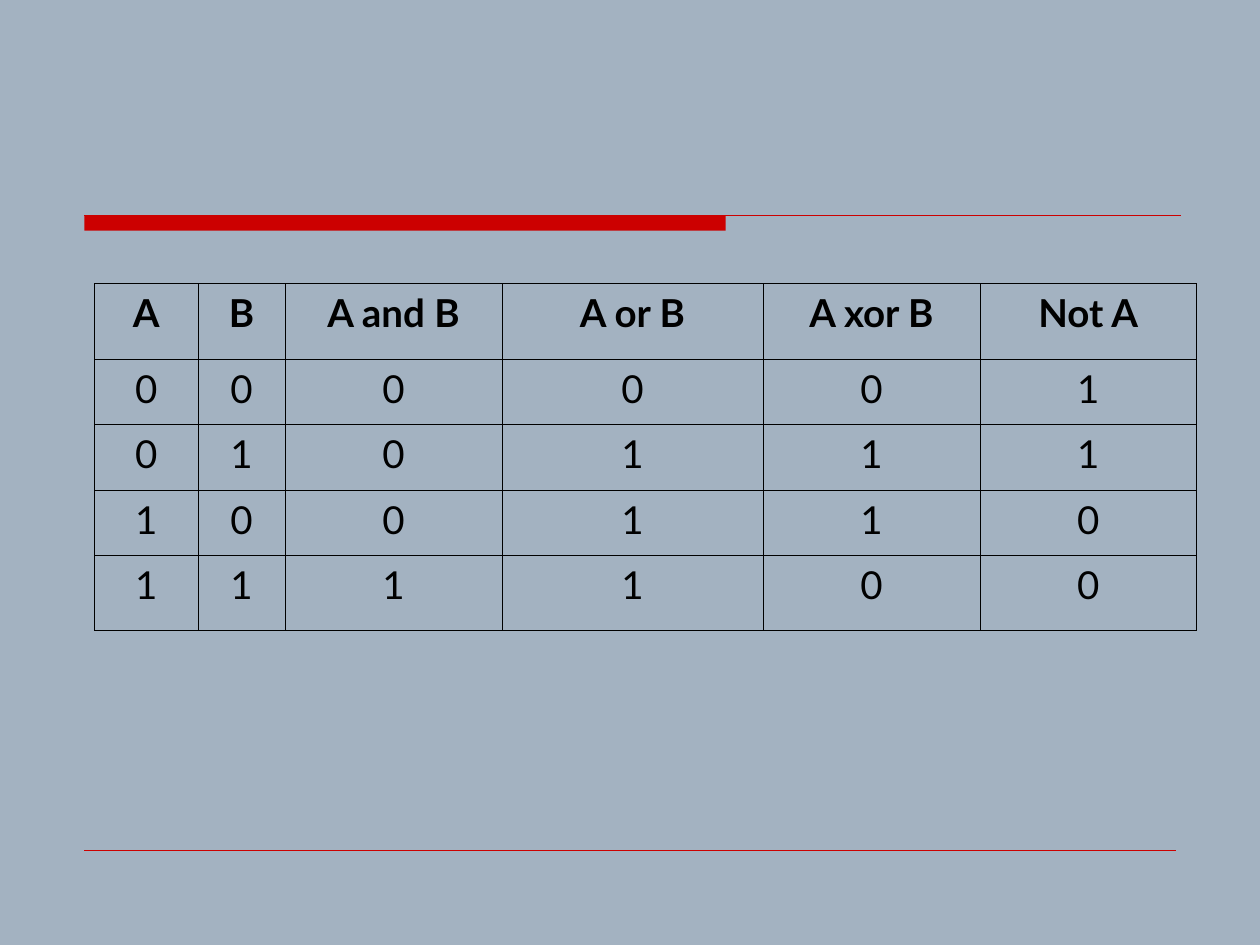
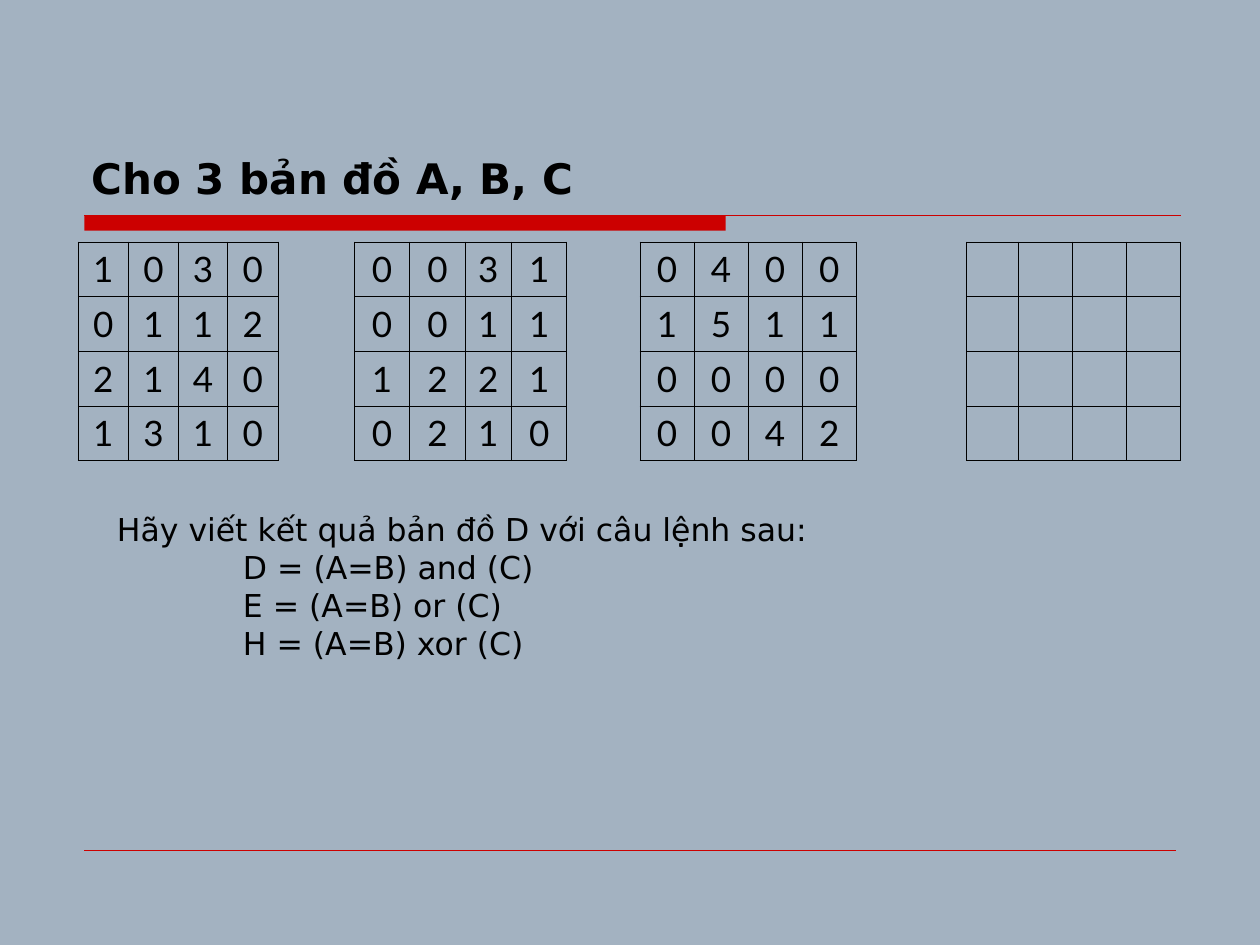
from dataclasses import dataclass

from lxml import etree
from pptx import Presentation
from pptx import util as u
from pptx.dml.color import RGBColor
from pptx.enum import shapes, text
from pptx.oxml import ns


@dataclass(frozen=True)
class Theme:
    background: str = "A3B2C1"
    accent: str = "CC0000"
    ink: str = "000000"
    text_font: str = "DejaVu Sans"
    table_font: str = "Lato"
    title_size: int = 24
    truth_size: int = 22
    map_size: int = 20
    body_size: int = 18
    bar_line: float = 0.75
    footer_line: float = 0.25
    cell_line: float = 0.45


THEME = Theme()
WIDTH, HEIGHT = u.Inches(10), u.Inches(7.5)


@dataclass(frozen=True)
class Box:
    """A region in inches on the 10 by 7.5 slide, kept as shares of its size."""
    left: float
    top: float
    width: float
    height: float

    @classmethod
    def inches(cls, left, top, width, height):
        return cls(left / 10, top / 7.5, width / 10, height / 7.5)

    @property
    def lengths(self):
        shares = (self.left, self.top, self.width, self.height)
        return [round(share * side) for share, side in zip(shares, (WIDTH, HEIGHT) * 2)]


BAR = Box.inches(0.67, 1.71, 8.7, 0.12)
FOOTER = Box.inches(0.67, 6.75, 8.66, 0)
TITLE = Box.inches(0.63, 0.33, 8.75, 1.33)
TRUTH = Box.inches(0.75, 2.25, 8.75, 2.75)
MAPS_AB = Box.inches(0.62, 1.92, 3.88, 1.73)
MAPS_CD = Box.inches(5.08, 1.92, 4.29, 1.73)
TASK = Box.inches(0.83, 4, 8.42, 1.3)
BAR_SHARE = 0.585

TRUTH_COLUMNS = [0.82, 0.69, 1.72, 2.07, 1.72, 1.72]
TRUTH_ROWS = [0.6, 0.52, 0.52, 0.52, 0.59]
MAPS_AB_COLUMNS = [0.4, 0.4, 0.39, 0.4, 0.61, 0.44, 0.44, 0.37, 0.44]
MAPS_CD_COLUMNS = [0.43, 0.43, 0.43, 0.43, 0.88, 0.41, 0.43, 0.43, 0.43]

MAP_A = ["1030", "0112", "2140", "1310"]
MAP_B = ["0031", "0011", "1221", "0210"]
MAP_C = ["0400", "1511", "0000", "0042"]
MAP_D = [[""] * 4] * 4


def colour(value):
    return RGBColor.from_string(value)


def write(para, words, **formats):
    span = para.add_run()
    span.text = words
    span.font.color.rgb = colour(THEME.ink)
    for name, value in formats.items():
        setattr(span.font, name, value)


def add_rule(page, box, weight):
    left, top, width, _ = box.lengths
    rule = page.shapes.add_connector(shapes.MSO_CONNECTOR.STRAIGHT, left, top, left + width, top)
    rule.line.color.rgb = colour(THEME.accent)
    rule.line.width = u.Pt(weight)
    etree.SubElement(rule._element.spPr, ns.qn("a:effectLst"))


def add_bands(page):
    """Draw the heading bar and the footer line found on every slide."""
    left, top, width, height = BAR.lengths
    bar = page.shapes.add_shape(
        shapes.MSO_SHAPE.RECTANGLE, left, top, round(width * BAR_SHARE), height)
    bar.shadow.inherit = False
    bar.fill.solid()
    bar.fill.fore_color.rgb = colour(THEME.accent)
    bar.line.fill.background()
    add_rule(page, BAR, THEME.bar_line)
    add_rule(page, FOOTER, THEME.footer_line)


def add_text(page, box, lines, anchor, **formats):
    """Write (words, indent in inches) pairs, one paragraph each."""
    frame = page.shapes.add_textbox(*box.lengths).text_frame
    frame.word_wrap = True
    frame.vertical_anchor = anchor
    for index, (words, indent) in enumerate(lines):
        para = frame.add_paragraph() if index else frame.paragraphs[0]
        if indent:
            para._p.get_or_add_pPr().set("marL", str(u.Inches(indent)))
        write(para, words, name=THEME.text_font, **formats)


def set_borders(cell, is_gap):
    """Rule all four sides, or only left and right for a gap between maps."""
    properties = cell._tc.get_or_add_tcPr()
    for side in "LRTB":
        line = etree.SubElement(
            properties, ns.qn(f"a:ln{side}"), w=str(u.Pt(THEME.cell_line)))
        if is_gap and side in "TB":
            etree.SubElement(line, ns.qn("a:noFill"))
        else:
            fill = etree.SubElement(line, ns.qn("a:solidFill"))
            etree.SubElement(fill, ns.qn("a:srgbClr"), val=THEME.ink)


def share_out(parts, weights, attribute, total):
    for part, weight in zip(parts, weights):
        setattr(part, attribute, round(total * weight / sum(weights)))


def add_grid(page, box, rows, columns, heights, size, has_header=False):
    """Fill the box with a ruled table; a None value marks a gap cell."""
    table = page.shapes.add_table(len(rows), len(columns), *box.lengths).table
    table.first_row = table.horz_banding = False
    share_out(table.columns, columns, "width", box.lengths[2])
    share_out(table.rows, heights, "height", box.lengths[3])
    for row_index, row in enumerate(rows):
        for column_index, value in enumerate(row):
            cell = table.cell(row_index, column_index)
            set_borders(cell, value is None)
            cell.fill.background()
            if value:
                para = cell.text_frame.paragraphs[0]
                para.alignment = text.PP_ALIGN.CENTER
                write(para, value, name=THEME.table_font, size=u.Pt(size),
                      bold=has_header and row_index == 0)


def add_map_pair(page, box, first, second, columns):
    rows = [[*left, None, *right] for left, right in zip(first, second)]
    add_grid(page, box, rows, columns, [1] * len(rows), THEME.map_size)


def add_page(deck):
    page = deck.slides.add_slide(deck.slide_layouts[6])
    add_bands(page)
    return page


def build_truth_table(deck):
    page = add_page(deck)
    rows = [["A", "B", "A and B", "A or B", "A xor B", "Not A"]]
    for a in (0, 1):
        for b in (0, 1):
            rows.append([str(value) for value in (a, b, a & b, a | b, a ^ b, 1 - a)])
    add_grid(page, TRUTH, rows, TRUTH_COLUMNS, TRUTH_ROWS, THEME.truth_size, has_header=True)


def build_map_exercise(deck):
    page = add_page(deck)
    add_text(page, TITLE, [("Cho 3 bản đồ A, B, C", 0)], text.MSO_ANCHOR.BOTTOM,
             size=u.Pt(THEME.title_size), bold=True)
    add_map_pair(page, MAPS_AB, MAP_A, MAP_B, MAPS_AB_COLUMNS)
    add_map_pair(page, MAPS_CD, MAP_C, MAP_D, MAPS_CD_COLUMNS)
    task = [("Hãy viết kết quả bản đồ D với câu lệnh sau:", 0)]
    for name, operator in zip("DEH", ("and", "or", "xor")):
        task.append((f"{name} = (A=B) {operator} (C)", 1))
    add_text(page, TASK, task, text.MSO_ANCHOR.TOP, size=u.Pt(THEME.body_size))


def main():
    deck = Presentation()
    deck.slide_width, deck.slide_height = WIDTH, HEIGHT
    backdrop = deck.slide_master.background.fill
    backdrop.solid()
    backdrop.fore_color.rgb = colour(THEME.background)
    build_truth_table(deck)
    build_map_exercise(deck)
    deck.save("out.pptx")


if __name__ == "__main__":
    main()
